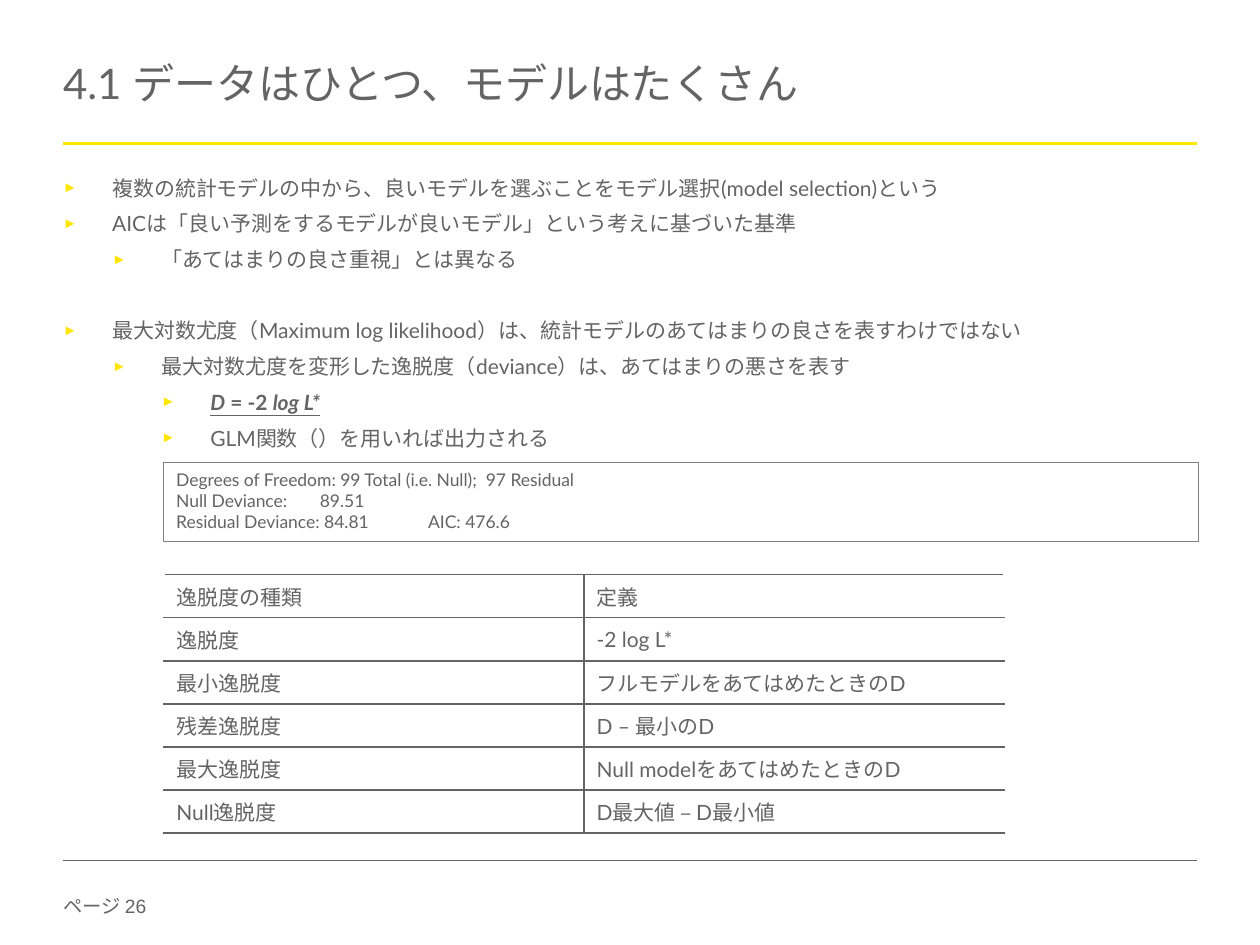
from lxml import etree
from pptx import Presentation
from pptx.dml.color import RGBColor
from pptx.enum.shapes import MSO_CONNECTOR, MSO_SHAPE
from pptx.enum.text import MSO_ANCHOR, MSO_AUTO_SIZE, PP_ALIGN
from pptx.oxml.ns import qn
from pptx.util import Inches, Pt

LINE, RECT = MSO_CONNECTOR.STRAIGHT, MSO_SHAPE.RECTANGLE
LEFT, JUST = PP_ALIGN.LEFT, PP_ALIGN.JUSTIFY
TOP, MIDDLE = MSO_ANCHOR.TOP, MSO_ANCHOR.MIDDLE
FIXED = MSO_AUTO_SIZE.NONE

GREY, YELLOW, WHITE, EDGE = "646464", "FFE600", "FFFFFF", "808080"
FONT = "Lato"
WIDE, HIGH = 10, 7.5
SIDE = WIDE / 20
SPAN = WIDE - 2 * SIDE
STEP = 0.39
INNER = 1.3
GAP = 6
BREAK = 26.4

# level, space before, runs with their formats
FORMULA = {"bold": True, "italic": True, "underline": True}
POINTS = [
    (0, 0, [("複数の統計モデルの中から、良いモデルを選ぶことをモデル選択(model selection)という", {})]),
    (0, GAP, [("AICは「良い予測をするモデルが良いモデル」という考えに基づいた基準", {})]),
    (1, GAP, [("「あてはまりの良さ重視」とは異なる", {})]),
    (0, BREAK, [("最大対数尤度（Maximum log likelihood）は、"
                 "統計モデルのあてはまりの良さを表すわけではない", {})]),
    (1, GAP, [("最大対数尤度を変形した逸脱度（deviance）は、あてはまりの悪さを表す", {})]),
    (2, GAP, [("D", FORMULA), (" = -2 ", {**FORMULA, "italic": False}),
              ("log L*", FORMULA)]),
    (2, GAP, [("GLM関数（）を用いれば出力される", {})]),
]
OUTPUT = [
    "Degrees of Freedom: 99 Total (i.e. Null);  97 Residual",
    "Null Deviance:\t89.51",
    "Residual Deviance: 84.81\tAIC: 476.6",
]
TABS = [1.14, 2]
ROWS = [
    ("逸脱度の種類", "定義"),
    ("逸脱度", "-2 log L*"),
    ("最小逸脱度", "フルモデルをあてはめたときのD"),
    ("残差逸脱度", "D – 最小のD"),
    ("最大逸脱度", "Null modelをあてはめたときのD"),
    ("Null逸脱度", "D最大値 – D最小値"),
]


def tint(code):
    return RGBColor.from_string(code)


def put(obj, values):
    """Set each attribute of obj named in values."""
    for name, value in values.items():
        setattr(obj, name, value)


def box(left, top, width, height):
    return [Inches(v) for v in (left, top, width, height)]


def node(parent, tag, **attrs):
    return etree.SubElement(parent, qn("a:" + tag), attrs)


def write(para, text, size, font=FONT, **extra):
    run = para.add_run()
    run.text = text
    put(run.font, {"size": Pt(size), "name": font, **extra})
    run.font.color.rgb = tint(GREY)


def frame(shape, anchor=TOP, inset=None):
    area = shape.text_frame
    put(area, {"word_wrap": True, "auto_size": FIXED, "vertical_anchor": anchor})
    if inset is not None:
        sides = ("left", "top", "right", "bottom")
        put(area, {"margin_" + side: Inches(inset) for side in sides})
    return area


def paras(area, items):
    """Yield each item with its own paragraph of the text area."""
    for i, item in enumerate(items):
        yield (area.add_paragraph() if i else area.paragraphs[0]), item


def rule(slide, y, color, width):
    line = slide.shapes.add_connector(
        LINE, *[Inches(v) for v in (SIDE, y, SIDE + SPAN, y)])
    line.line.color.rgb = tint(color)
    line.line.width = Pt(width)
    node(line._element.spPr, "effectLst")


def bullet(para, level):
    props = para._p.get_or_add_pPr()
    props.set("marL", str(Inches(STEP * (level + 1))))
    props.set("indent", str(-Inches(STEP)))
    node(node(props, "buClr"), "srgbClr", val=YELLOW)
    node(props, "buSzPct", val="70000")
    node(props, "buFont", typeface="Arial")
    node(props, "buChar", char="►")


def title(slide, text):
    shape = slide.shapes.title
    names = ("left", "top", "width", "height")
    put(shape, dict(zip(names, box(SIDE, 0.22, SPAN, 0.94))))
    para = frame(shape, MIDDLE, 0).paragraphs[0]
    put(para, {"alignment": LEFT, "line_spacing": 0.85})
    write(para, text, 24)


def points(slide):
    area = frame(slide.shapes.add_textbox(*box(SIDE, 1.39, SPAN, 5.14)), inset=0)
    for para, (level, before, runs) in paras(area, POINTS):
        put(para, {"alignment": JUST, "level": level})
        if before:
            para.space_before = Pt(before)
        bullet(para, level)
        for text, style in runs:
            write(para, text, 12, **style)


def output(slide):
    shape = slide.shapes.add_shape(RECT, *box(INNER, 3.67, 8.21, 0.63))
    shape.shadow.inherit = False
    shape.fill.background()
    shape.line.color.rgb = tint(EDGE)
    shape.line.width = Pt(0.75)
    for para, text in paras(frame(shape), OUTPUT):
        para.alignment = LEFT
        tabs = node(para._p.get_or_add_pPr(), "tabLst")
        for stop in TABS:
            node(tabs, "tab", pos=str(Inches(stop)), algn="l")
        write(para, text, 10)


def border(cell, colors):
    """Draw the left, right, top and bottom edges in the given colours."""
    props = cell._tc.get_or_add_tcPr()
    for i, (side, color) in enumerate(zip("LRTB", colors)):
        edge = node(props, "ln" + side, w=str(Pt(1)))
        node(node(edge, "solidFill"), "srgbClr", val=color)
        props.insert(i, edge)


def table(slide):
    grid = slide.shapes.add_table(
        len(ROWS), 2, *box(INNER, 4.56, 6.67, 0.34 * len(ROWS))).table
    put(grid, {"first_row": False, "horz_banding": False})
    for r, row in enumerate(ROWS):
        for c, text in enumerate(row):
            cell = grid.cell(r, c)
            cell.vertical_anchor = MIDDLE
            cell.fill.solid()
            cell.fill.fore_color.rgb = tint(WHITE)
            ends = (GREY, WHITE) if c else (WHITE, GREY)
            border(cell, ends + (GREY, GREY))
            write(cell.text_frame.paragraphs[0], text, 12)


def footer(slide, text):
    area = frame(slide.shapes.add_textbox(*box(SIDE, 7.1, 0.79, 0.22)), inset=0)
    write(area.paragraphs[0], text, 11, "Arial")


def main():
    deck = Presentation()
    put(deck, {"slide_width": Inches(WIDE), "slide_height": Inches(HIGH)})
    slide = deck.slides.add_slide(deck.slide_layouts.get_by_name("Title Only"))
    footer(slide, "ページ 26")
    rule(slide, 1.14, YELLOW, 1.5)
    rule(slide, 6.83, GREY, 0.25)
    title(slide, "4.1 データはひとつ、モデルはたくさん")
    points(slide)
    table(slide)
    output(slide)
    deck.save("out.pptx")


if __name__ == "__main__":
    main()
